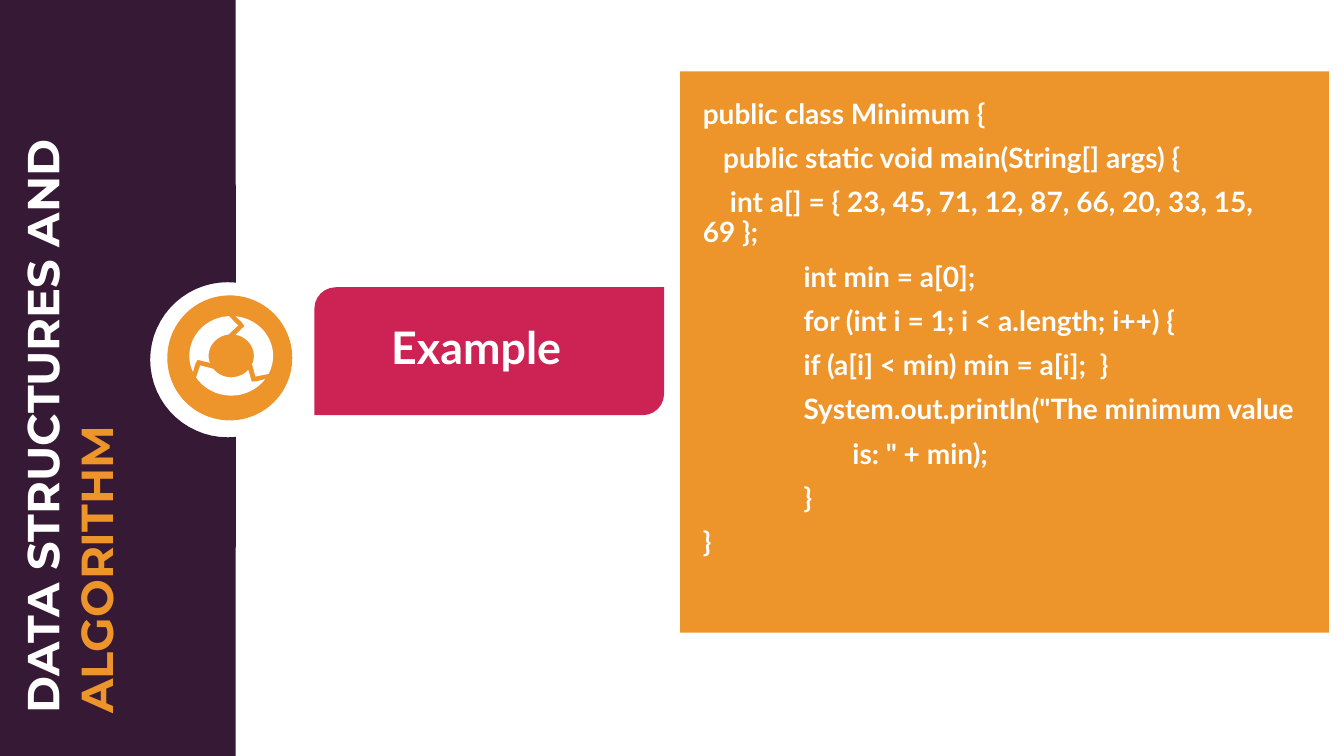
from math import cos, radians, sin

from lxml import etree
from pptx import Presentation
from pptx.dml.color import RGBColor
from pptx.enum.shapes import MSO_SHAPE
from pptx.enum.text import MSO_ANCHOR, MSO_AUTO_SIZE, PP_ALIGN
from pptx.oxml.ns import qn
from pptx.util import Pt

RECT = MSO_SHAPE.RECTANGLE
OVAL = MSO_SHAPE.OVAL
DIAGONAL = MSO_SHAPE.ROUND_2_DIAG_RECTANGLE
TOP, LEFT, NO_FIT = MSO_ANCHOR.TOP, PP_ALIGN.LEFT, MSO_AUTO_SIZE.NONE

COLORS = {"plum": "361935", "orange": "ED942B", "crimson": "CD2354", "white": "FFFFFF"}
HEADING = ["Example"]
COURSE = ["DATA STRUCTURES AND", "ALGORITHM"]
CODE = [
    "public class Minimum {",
    "   public static void main(String[] args) {",
    "    int a[] = { 23, 45, 71, 12, 87, 66, 20, 33, 15, 69 };",
    "\tint min = a[0];",
    "\tfor (int i = 1; i < a.length; i++) {",
    "\tif (a[i] < min) min = a[i];  }",
    '\tSystem.out.println("The minimum value',
    '                      is: " + min);',
    "\t}",
    "}",
]
PANELS = [
    (OVAL, "orange", (119.5, 211, 89.3, 89.3)),
    (DIAGONAL, "crimson", (224.6, 205.2, 249.8, 91.4)),
    (RECT, "orange", (485.8, 51, 463.4, 401)),
]
SLIDE_W, SLIDE_H = 960, 540
SIDEBAR_W = 168.3
NOTCH = (162.7, 257, 55.4, 55.4)
CYCLE = (165.2, 254.2, 29.9, 28.4)
ARROW_HEAD = [(0.78, 282)]
ARROW_TAIL = [(0.72, 170), (0.81, 173), (0.88, 167)]
TAB_INDENT = 72


def rgb(name):
    return RGBColor.from_string(COLORS[name])


def paint(sp, color):
    sp.shadow.inherit = False
    sp.fill.solid()
    sp.fill.fore_color.rgb = rgb(color)
    sp.line.fill.background()


def polar(ellipse, radius, angle):
    x, y, rx, ry = ellipse
    a = radians(angle)
    return x + rx * radius * cos(a), y + ry * radius * sin(a)


def arc(radius, start, end, steps=32):
    return [(radius, start + (end - start) * i / steps) for i in range(steps + 1)]


def add_outline(s, contours, color):
    contours = [[(Pt(x), Pt(y)) for x, y in points] for points in contours]
    builder = s.shapes.build_freeform(*contours[0][0])
    builder.add_line_segments(contours[0][1:])
    for points in contours[1:]:
        builder.move_to(*points[0])
        builder.add_line_segments(points[1:])
    paint(builder.convert_to_shape(), color)


def write(sp, lines, box, font="Lato", size=20, colors=("white",), spacing=0.9, before=10):
    sp.left, sp.top, sp.width, sp.height = (Pt(v) for v in box)
    tf = sp.text_frame
    tf.word_wrap, tf.auto_size, tf.vertical_anchor = True, NO_FIT, TOP
    for i, line in enumerate(lines):
        p = tf.add_paragraph() if i else tf.paragraphs[0]
        pPr = p._p.get_or_add_pPr()
        pPr.set("marL", str(Pt(TAB_INDENT * line.count("\t"))))
        pPr.set("indent", "0")
        etree.SubElement(pPr, qn("a:buNone"))
        p.alignment, p.line_spacing = LEFT, spacing
        p.space_before = Pt(before if i else 0)
        r = p.add_run()
        r.text = line.lstrip("\t")
        r.font.name, r.font.size, r.font.bold = font, Pt(size), True
        r.font.color.rgb = rgb(colors[i % len(colors)])


def main():
    prs = Presentation()
    prs.slide_width, prs.slide_height = Pt(SLIDE_W), Pt(SLIDE_H)
    s = prs.slides.add_slide(prs.slide_layouts[1])

    notch = [polar(NOTCH, *point) for point in arc(1, 276, 84)]
    sidebar = [(0, 0), (SIDEBAR_W, 0), *notch, (SIDEBAR_W, SLIDE_H), (0, SLIDE_H)]
    add_outline(s, [sidebar], "plum")

    for kind, color, box in PANELS:
        paint(s.shapes.add_shape(kind, *(Pt(v) for v in box)), color)

    arrow = arc(1, 156, 267) + ARROW_HEAD + arc(0.54, 263, 161) + ARROW_TAIL
    cycle = [[polar(CYCLE, r, a + turn) for r, a in arrow] for turn in (0, 120, 240)]
    add_outline(s, cycle, "white")

    title, body = s.shapes.title, s.placeholders[1]
    for sp in (title, body):
        s.shapes.element.append(sp.element)
    write(title, HEADING, (272.2, 229, 193, 49), size=32)
    write(body, CODE, (494.8, 67.8, 441.4, 367))

    course = s.shapes.add_textbox(0, 0, 0, 0)
    write(course, COURSE, (-197.3, 227.5, 493.2, 85), font="Montserrat", size=32,
          colors=("white", "orange"), spacing=1.0, before=0)
    course.rotation = 270

    prs.save("out.pptx")


if __name__ == "__main__":
    main()
